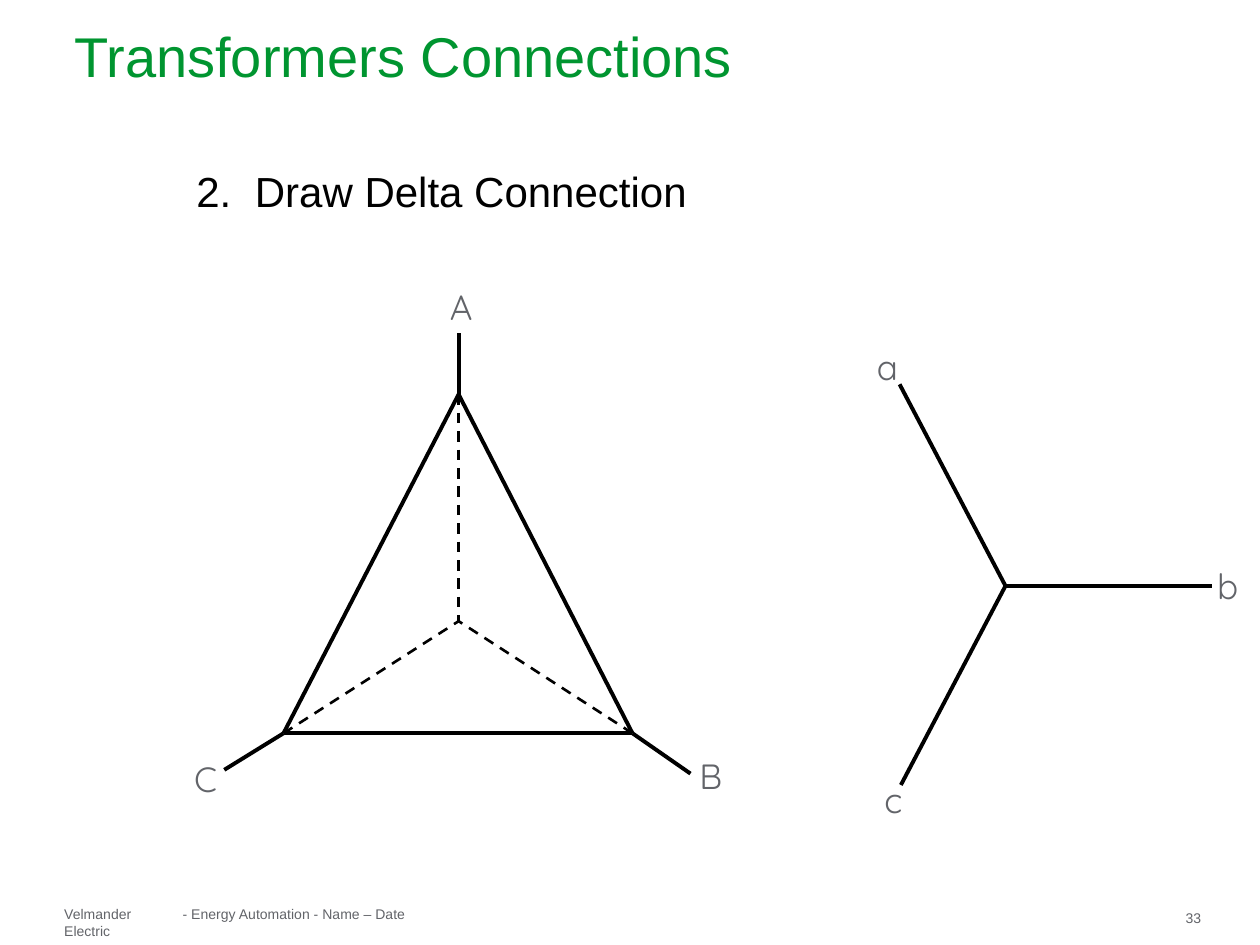
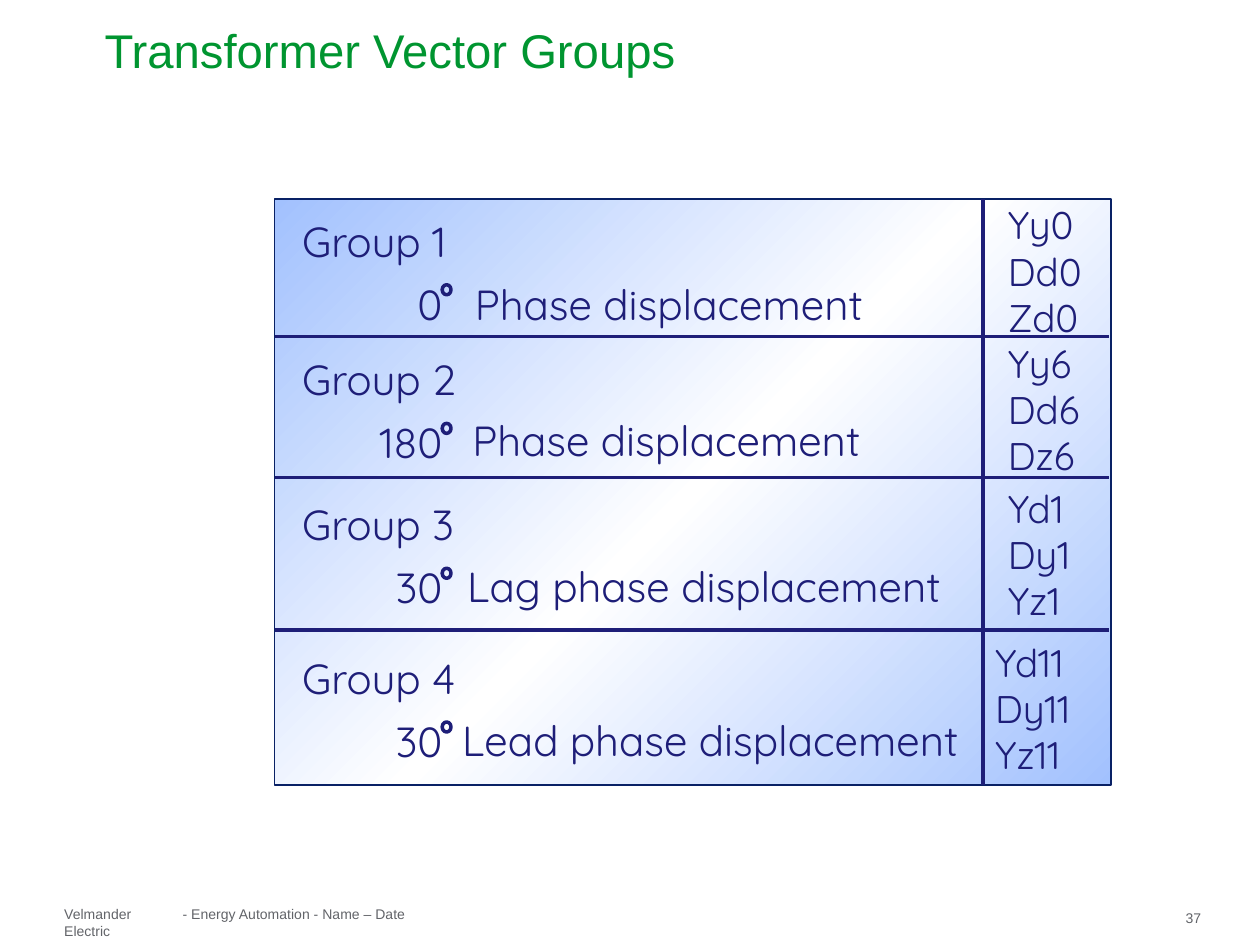
from dataclasses import dataclass

from pptx import Presentation
from pptx.dml.color import RGBColor
from pptx.enum.dml import MSO_LINE_DASH_STYLE
from pptx.enum.shapes import MSO_CONNECTOR_TYPE, MSO_SHAPE
from pptx.enum.text import MSO_ANCHOR, MSO_AUTO_SIZE, PP_ALIGN
from pptx.oxml import parse_xml
from pptx.oxml.ns import nsdecls, qn
from pptx.util import Inches, Pt

DASH = MSO_LINE_DASH_STYLE.DASH
STRAIGHT = MSO_CONNECTOR_TYPE.STRAIGHT
RECTANGLE, OVAL = MSO_SHAPE.RECTANGLE, MSO_SHAPE.OVAL
TOP, MIDDLE = MSO_ANCHOR.TOP, MSO_ANCHOR.MIDDLE
LEFT, RIGHT = PP_ALIGN.LEFT, PP_ALIGN.RIGHT
FIXED = MSO_AUTO_SIZE.NONE
TITLE_ONLY = 5
COLUMNS, ROWS = 100, 75


@dataclass(frozen=True)
class Theme:
    plain_font: str = "Arial"
    round_font: str = "Quicksand"
    green: str = "009530"
    grey: str = "626469"
    black: str = "000000"
    navy: str = "1E1E78"
    frame: str = "092165"
    sky: str = "A2C1FE"
    white: str = "FFFFFF"
    wide_title_size: int = 32
    title_size: int = 27
    footer_size: int = 8
    label_size: int = 20
    code_size: int = 22
    body_size: int = 24
    thin: float = 1
    dashed: float = 1.5
    rule: float = 2
    thick: float = 2.25


class Slides:
    def __init__(self, theme):
        self.theme = theme
        self.deck = Presentation()
        self.deck.slide_width, self.deck.slide_height = Inches(10), Inches(7.5)
        self.page = None

    def x(self, columns):
        return round(self.deck.slide_width * columns / COLUMNS)

    def y(self, rows):
        return round(self.deck.slide_height * rows / ROWS)

    def area(self, left, top, width, height):
        return self.x(left), self.y(top), self.x(width), self.y(height)

    def start(self, title, area, size, number):
        self.page = self.deck.slides.add_slide(self.deck.slide_layouts[TITLE_ONLY])
        box = self.page.shapes.title
        box.left, box.top, box.width, box.height = self.area(*area)
        self.fill_text(box, title, size, self.theme.green, self.theme.plain_font,
                       (0, 0.01), MIDDLE)
        footers = (
            ("Velmander Electric", (5.1, 71.9, 9, 2.6)),
            ("- Energy Automation - Name – Date", (14.5, 71.9, 24, 1.3)),
            (str(number), (94.1, 72.2, 3.2, 1.3)),
        )
        for text, place in footers:
            self.text(text, place, self.theme.footer_size, self.theme.grey,
                      self.theme.plain_font, (0, 0))

    def fill_text(self, box, text, size, color, font, inset=(0.1, 0.05), anchor=TOP, align=LEFT):
        frame = box.text_frame
        frame.text = text
        frame.word_wrap = True
        frame.auto_size = FIXED
        frame.vertical_anchor = anchor
        frame.margin_left = frame.margin_right = Inches(inset[0])
        frame.margin_top = frame.margin_bottom = Inches(inset[1])
        for para in frame.paragraphs:
            para.alignment = align
            for span in para.runs:
                span.font.size = Pt(size)
                span.font.name = font
                span.font.color.rgb = RGBColor.from_string(color)

    def text(self, text, area, *style, **options):
        box = self.page.shapes.add_textbox(*self.area(*area))
        self.fill_text(box, text, *style, **options)
        return box

    def numbered(self, number, text, area, hang):
        box = self.text(f"{number}.\t{text}", area, self.theme.body_size, self.theme.black,
                        self.theme.plain_font, anchor=MIDDLE)
        settings = box.text_frame.paragraphs[0]._p.get_or_add_pPr()
        settings.set("marL", str(self.x(hang)))
        settings.set("indent", str(-self.x(hang)))

    def line(self, start, end, color, width, dash=None):
        line = self.page.shapes.add_connector(
            STRAIGHT, self.x(start[0]), self.y(start[1]), self.x(end[0]), self.y(end[1]))
        line.line.color.rgb = RGBColor.from_string(color)
        line.line.width = Pt(width)
        if dash:
            line.line.dash_style = dash
        line._element.spPr.append(parse_xml(f"<a:effectLst {nsdecls('a')}/>"))

    def outline(self, kind, area, color, width):
        shape = self.page.shapes.add_shape(kind, *self.area(*area))
        shape.shadow.inherit = False
        shape.fill.background()
        shape.line.color.rgb = RGBColor.from_string(color)
        shape.line.width = Pt(width)
        return shape

    def gradient_panel(self, area):
        panel = self.outline(RECTANGLE, area, self.theme.frame, self.theme.thin)
        colors = (self.theme.sky, self.theme.white, self.theme.sky)
        stops = "".join(
            f'<a:gs pos="{index * 50000}"><a:srgbClr val="{color}"/></a:gs>'
            for index, color in enumerate(colors))
        gradient = parse_xml(
            f'<a:gradFill {nsdecls("a")} rotWithShape="1"><a:gsLst>{stops}</a:gsLst>'
            '<a:lin ang="2700000" scaled="0"/></a:gradFill>')
        properties = panel._element.spPr
        properties.replace(properties.find(qn("a:noFill")), gradient)


def draw_connections(slides):
    theme = slides.theme
    slides.start("Transformers Connections", (5.9, 2.1, 88.3, 4.5), theme.wide_title_size, 33)
    slides.numbered(2, "Draw Delta Connection", (14.6, 11.5, 58.4, 7.3), 4.65)

    neutral = (36.4, 49.3)
    corners = ((36.4, 31.3), (50.2, 58.2), (22.5, 58.2))
    terminals = ((36.4, 26.4), (54.8, 61.4), (17.8, 61.1))
    for index, corner in enumerate(corners):
        slides.line(corner, neutral, theme.black, theme.dashed, DASH)
        slides.line(corner, corners[index - 1], theme.black, theme.thick)
        slides.line(corner, terminals[index], theme.black, theme.thick)

    hub = (79.8, 46.5)
    for tip in ((71.4, 30.5), (96.2, 46.5), (71.5, 62.3)):
        slides.line(hub, tip, theme.black, theme.thick)

    labels = {
        "A": (35.6, 22.6), "B": (55.4, 59.8), "C": (15.3, 60),
        "a": (69.5, 27.3), "b": (96.5, 44.7), "c": (70.1, 61.7),
    }
    for letter, place in labels.items():
        slides.text(letter, (*place, 3.2, 4.4), theme.label_size, theme.grey,
                    theme.round_font, (0.01, 0.01))


def draw_vector_groups(slides):
    theme = slides.theme
    slides.start("Transformer Vector Groups", (8.3, 0.9, 88.3, 6.1), theme.title_size, 37)

    left, top, width, height = panel = (21.8, 15.8, 66.4, 46.5)
    divider = 78
    slides.gradient_panel(panel)
    slides.line((divider, top), (divider, top + height), theme.navy, theme.rule)
    for row in (26.7, 37.9, 50):
        slides.line((left, row), (left + width - 0.2, row), theme.navy, theme.rule)

    body = (theme.body_size, theme.navy, theme.round_font)
    codes_style = (theme.code_size, theme.navy, theme.round_font)
    groups = (
        (16.6, "0", "Phase displacement", (36.7, 21.6), "Yy0 Dd0 Zd0", 79),
        (27.6, "180", "Phase displacement", (36.5, 32.4), "Yy6 Dd6 Dz6", 79),
        (39.1, "30", "Lag phase displacement", (36.1, 44), "Yd1 Dy1 Yz1", 79),
        (51.3, "30", "Lead phase displacement", (35.7, 56.2), "Yd11 Dy11 Yz11", 78),
    )
    for number, (row, angle, shift, place, codes, code_column) in enumerate(groups, 1):
        slides.text(f"Group {number}", (23, row, 16, 5), *body)
        slides.text(angle, (26, row + 5, 10.1, 5), *body, align=RIGHT)
        slides.outline(OVAL, (35.1, row + 6, 0.7, 0.8), theme.navy, theme.rule)
        slides.text(shift, (*place, 43, 5), *body)
        slides.text("\n".join(codes.split()), (code_column, row - 1.1, 9.8, 12), *codes_style)


def main():
    slides = Slides(Theme())
    draw_connections(slides)
    draw_vector_groups(slides)
    slides.deck.save("out.pptx")


if __name__ == "__main__":
    main()
